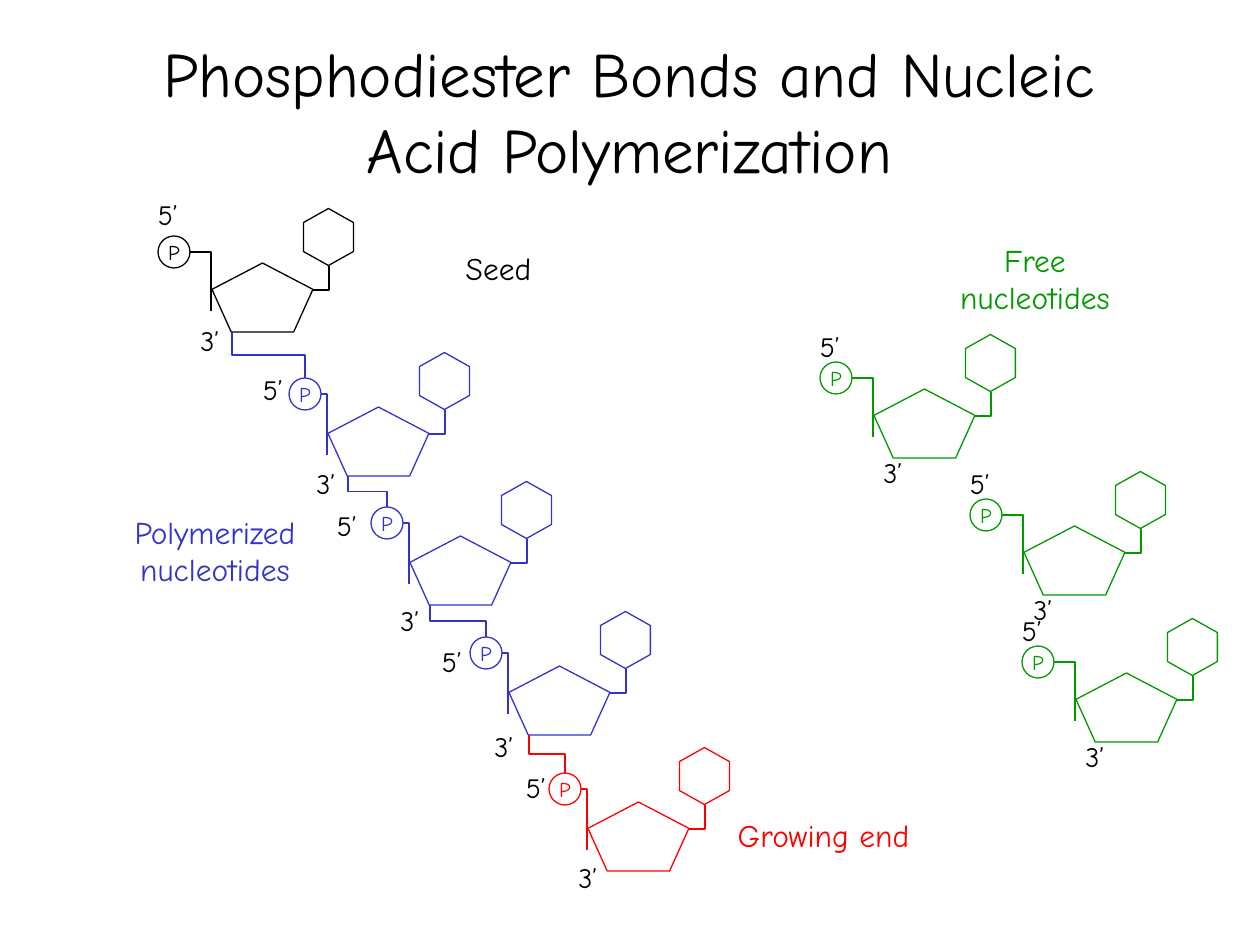
"""Build the slide on phosphodiester bonds and nucleic acid polymerization."""
from dataclasses import dataclass

from lxml import etree
from pptx import Presentation
from pptx import util as u
from pptx.dml import color
from pptx.enum import shapes, text
from pptx.oxml import ns


@dataclass(frozen=True)
class Theme:
    """Colours, font and type sizes of the slide."""
    font: str = "Comic Neue"
    ink: str = "000000"
    blue: str = "3333CC"
    red: str = "FF0000"
    green: str = "009900"
    title: int = 36
    note: int = 18
    prime: int = 16
    atom: int = 12
    line: float = 0.75


class Board:
    """Draw styled elements on one slide, in px."""

    def __init__(self, slide, theme):
        """Keep the slide and its style."""
        self.slide, self.theme = slide, theme

    def px(self, *sizes):
        """Turn px into EMU at 126 px to the inch."""
        return [u.Emu(round(size * 914400 / 126)) for size in sizes]

    def letter(self, shape, words, size, hue, wrap=False):
        """Set centred text in a shape."""
        frame = shape.text_frame
        frame.text = words
        frame.word_wrap = wrap
        frame.vertical_anchor = text.MSO_ANCHOR.MIDDLE
        para = frame.paragraphs[0]
        para.alignment = text.PP_ALIGN.CENTER
        font = para.runs[0].font
        font.name, font.size = self.theme.font, u.Pt(size)
        font.color.rgb = color.RGBColor.from_string(hue)

    def label(self, words, box, size, hue, wrap=False):
        """Add a text box."""
        shape = self.slide.shapes.add_textbox(*self.px(*box))
        self.letter(shape, words, size, hue, wrap)

    def stroke(self, item, hue):
        """Give a shape or connector its thin line."""
        item.line.color.rgb = color.RGBColor.from_string(hue)
        item.line.width = u.Pt(self.theme.line)

    def ring(self, kind, box, hue):
        """Add an unfilled outline shape."""
        shape = self.slide.shapes.add_shape(kind, *self.px(*box))
        shape.shadow.inherit = False
        shape.fill.background()
        self.stroke(shape, hue)
        return shape

    def bend(self, start, end, hue, preset="bentConnector2", steep=False):
        """Add an elbow going up to its end, leaving upright if steep."""
        (x1, y1), (x2, y2) = start, end
        if steep:
            midx, midy = (x1 + x2) / 2, (y1 + y2) / 2
            wide, high = (y1 - y2) / 2, (x1 - x2) / 2
            x1, y1, x2, y2 = midx - wide, midy + high, midx + wide, midy - high
        line = self.slide.shapes.add_connector(
            shapes.MSO_CONNECTOR.ELBOW, *self.px(x1, y1, x2, y2))
        self.stroke(line, hue)
        props = line._element.spPr
        props.find(ns.qn("a:prstGeom")).set("prst", preset)
        if steep:
            props.find(ns.qn("a:xfrm")).set("rot", str(270 * 60000))
        etree.SubElement(props, ns.qn("a:effectLst"))

    def unit(self, x, y, hue, arm, lift):
        """Add a nucleotide with its sugar at x, y; return the top of its phosphate."""
        kinds = shapes.MSO_SHAPE
        left, top, size = x - arm, y - lift, 32
        self.ring(kinds.REGULAR_PENTAGON, (x, y, 101, 69), hue)
        base = self.ring(kinds.HEXAGON, (x + 88, y - 51, 57, 50), hue)
        base.rotation = 270
        base.adjustments[0] = 0.28
        atom = self.ring(kinds.OVAL, (left, top, size, size), hue)
        self.letter(atom, "P", self.theme.atom, hue)
        self.bend((x + 101, y + 27), (x + 117, y + 3), hue)
        self.bend((x - 1, y + 48), (left + size, top + size / 2), hue, steep=True)
        return left + size / 2, top

    def prime(self, words, x, y):
        """Mark one end of a nucleotide."""
        self.label(words, (x, y, 84, 42), self.theme.prime, self.theme.ink)


def main():
    """Lay out the growing strand and the free nucleotides."""
    deck = Presentation()
    deck.slide_width, deck.slide_height = u.Inches(10), u.Inches(7.5)
    theme = Theme()
    board = Board(deck.slides.add_slide(deck.slide_layouts[6]), theme)
    board.label("Phosphodiester Bonds and Nucleic Acid Polymerization",
                (94, 32, 1071, 157), theme.title, theme.ink, wrap=True)

    strand = [
        ((212, 263), theme.ink, (126, 193), (168, 319)),
        ((328, 407), theme.blue, (231, 368), (284, 462)),
        ((410, 536), theme.blue, (305, 504), (368, 599)),
        ((509, 666), theme.blue, (410, 640), (462, 725)),
        ((588, 802), theme.red, (494, 766), (546, 856)),
    ]
    tail = None
    for (x, y), hue, five, three in strand:
        arm, lift = (39, 29) if tail else (54, 27)
        head = board.unit(x, y, hue, arm, lift)
        if tail:
            board.bend(head, tail, hue, "bentConnector3", steep=True)
        tail = x + 20, y + 69
        board.prime("5’", *five)
        board.prime("3’", *three)

    for x, y in [(874, 389), (1024, 526), (1076, 673)]:
        board.unit(x, y, theme.green, 54, 27)
        board.prime("5’", x - 86, y - 64)
        board.prime("3’", x - 23, y + 62)

    notes = [
        ("Seed", (399, 231, 199, 73), theme.ink, False),
        ("Polymerized nucleotides", (94, 514, 242, 73), theme.blue, True),
        ("Growing end", (724, 798, 199, 73), theme.red, False),
        ("Free nucleotides", (914, 242, 242, 73), theme.green, True),
    ]
    for words, box, hue, wrap in notes:
        board.label(words, box, theme.note, hue, wrap)
    deck.save("out.pptx")


if __name__ == "__main__":
    main()
